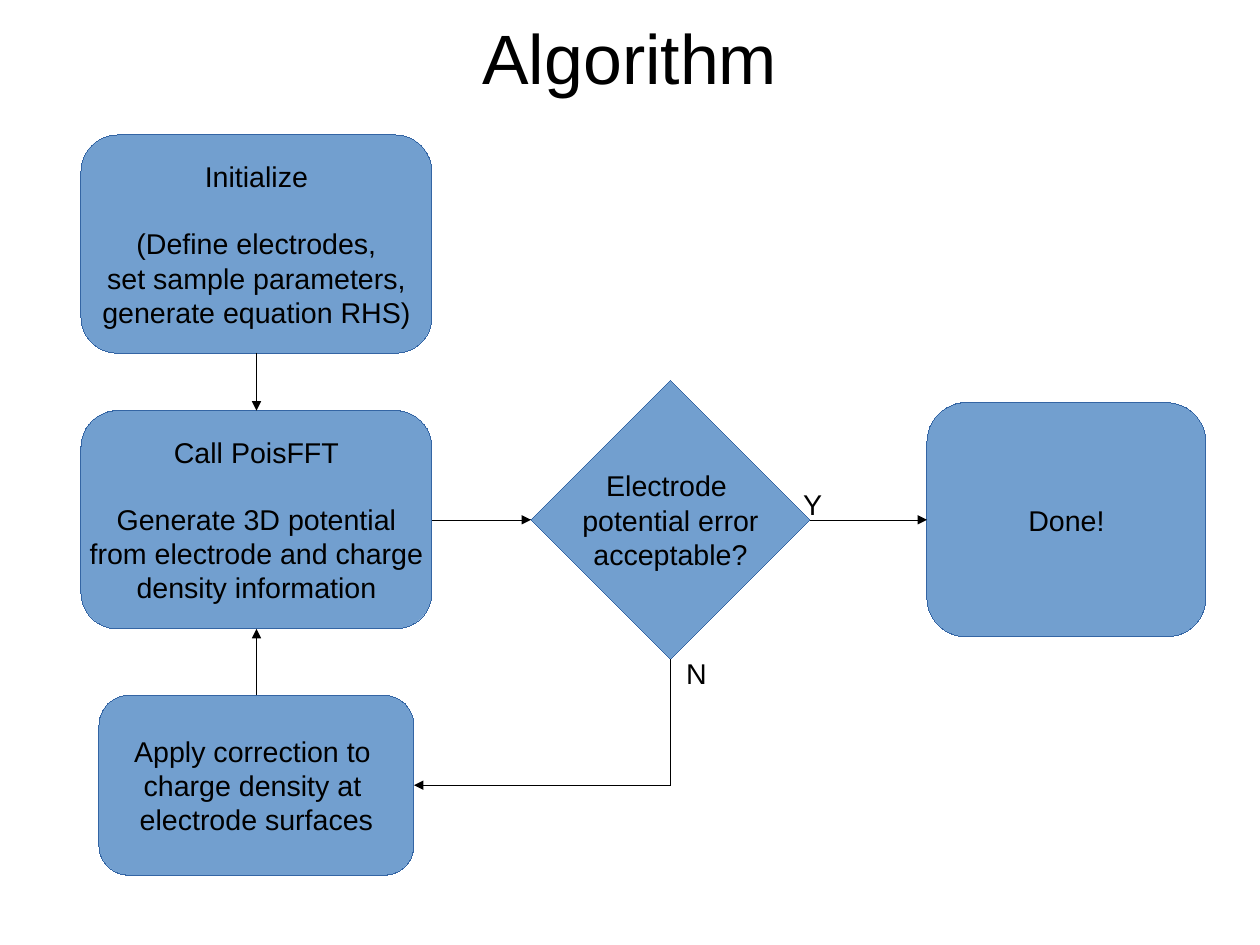
from dataclasses import dataclass

from lxml.etree import SubElement
from pptx import Presentation
from pptx.dml.color import RGBColor
from pptx.enum.shapes import MSO_CONNECTOR, MSO_SHAPE
from pptx.enum.text import MSO_ANCHOR, PP_ALIGN
from pptx.oxml.ns import qn
from pptx.shapes.autoshape import Shape
from pptx.shapes.connector import Connector
from pptx.slide import Slide
from pptx.text.text import TextFrame
from pptx.util import Emu, Pt

EMU_PER_PX = 9000
TOP, LEFT, BOTTOM, RIGHT = range(4)


@dataclass(frozen=True)
class Theme:
    font: str = "Arial"
    ink: RGBColor = RGBColor(0x00, 0x00, 0x00)
    fill: RGBColor = RGBColor(0x72, 0x9F, 0xCF)
    outline: RGBColor = RGBColor(0x34, 0x65, 0xA4)
    title_size: float = 44
    body_size: float = 18
    heading_gap: float = 20.7
    hairline: int = 0


@dataclass(frozen=True)
class Box:
    left: int
    top: int
    width: int
    height: int


@dataclass(frozen=True)
class Step:
    key: str
    box: Box
    lines: tuple[str, ...]
    heading: str = ""
    outline: MSO_SHAPE = MSO_SHAPE.FLOWCHART_ALTERNATE_PROCESS


@dataclass(frozen=True)
class Flow:
    source: str
    exit_side: int
    target: str
    entry_side: int


@dataclass(frozen=True)
class Answer:
    text: str
    box: Box


THEME = Theme()

STEPS = (
    Step("initialize", Box(72, 120, 312, 194),
         ("(Define electrodes,", "set sample parameters,", "generate equation RHS)"),
         heading="Initialize"),
    Step("solve", Box(72, 365, 312, 194),
         ("Generate 3D potential", "from electrode and charge", "density information"),
         heading="Call PoisFFT"),
    Step("check", Box(472, 338, 248, 248),
         ("Electrode ", "potential error", "acceptable?"),
         outline=MSO_SHAPE.FLOWCHART_DECISION),
    Step("done", Box(824, 358, 248, 208), ("Done!",)),
    Step("correct", Box(88, 618, 280, 160),
         ("Apply correction to ", "charge density at ", "electrode surfaces")),
)

STRAIGHT_FLOWS = (
    Flow("initialize", BOTTOM, "solve", TOP),
    Flow("solve", RIGHT, "check", LEFT),
    Flow("check", RIGHT, "done", LEFT),
    Flow("correct", TOP, "solve", BOTTOM),
)
RETRY_FLOW = Flow("check", BOTTOM, "correct", RIGHT)

ANSWERS = (
    Answer("Y", Box(704, 428, 40, 39)),
    Answer("N", Box(600, 578, 39, 39)),
)


def px(length: int) -> Emu:
    return Emu(length * EMU_PER_PX)


def place(box: Box) -> tuple[Emu, Emu, Emu, Emu]:
    return px(box.left), px(box.top), px(box.width), px(box.height)


def write(frame: TextFrame, lines: tuple[str, ...], size: float,
          align: PP_ALIGN = PP_ALIGN.CENTER) -> None:
    for number, line in enumerate(lines):
        paragraph = frame.paragraphs[0] if number == 0 else frame.add_paragraph()
        paragraph.alignment = align
        run = paragraph.add_run()
        run.text = line
        run.font.name = THEME.font
        run.font.size = Pt(size)
        run.font.color.rgb = THEME.ink


def stroke(part: Shape | Connector, color: RGBColor) -> None:
    part.line.color.rgb = color
    part.element.spPr.find(qn("a:ln")).set("w", str(THEME.hairline))


def draw_title(slide: Slide, text: str) -> None:
    title = slide.shapes.title
    title.left, title.top, title.width, title.height = place(Box(56, -20, 1008, 140))
    frame = title.text_frame
    frame.margin_left = frame.margin_right = frame.margin_top = frame.margin_bottom = 0
    frame.vertical_anchor = MSO_ANCHOR.MIDDLE
    write(frame, (text,), THEME.title_size)


def draw_step(slide: Slide, step: Step) -> Shape:
    shape = slide.shapes.add_shape(step.outline, *place(step.box))
    shape.shadow.inherit = False
    shape.fill.solid()
    shape.fill.fore_color.rgb = THEME.fill
    stroke(shape, THEME.outline)
    frame = shape.text_frame
    frame.word_wrap = False
    frame.vertical_anchor = MSO_ANCHOR.MIDDLE
    heading = (step.heading,) if step.heading else ()
    write(frame, heading + step.lines, THEME.body_size)
    if heading:
        frame.paragraphs[0].space_after = Pt(THEME.heading_gap)
    return shape


def draw_flow(slide: Slide, flow: Flow, steps: dict[str, Shape],
              route: MSO_CONNECTOR = MSO_CONNECTOR.STRAIGHT) -> Connector:
    arrow = slide.shapes.add_connector(route, 0, 0, 0, 0)
    arrow.begin_connect(steps[flow.source], flow.exit_side)
    arrow.end_connect(steps[flow.target], flow.entry_side)
    stroke(arrow, THEME.ink)
    properties = arrow.element.spPr
    SubElement(properties.find(qn("a:ln")), qn("a:tailEnd"), type="triangle")
    SubElement(properties, qn("a:effectLst"))
    return arrow


def draw_retry(slide: Slide, flow: Flow, steps: dict[str, Shape]) -> None:
    arrow = draw_flow(slide, flow, steps, MSO_CONNECTOR.ELBOW)
    across, down = arrow.width, arrow.height
    center_x = arrow.left + across // 2
    center_y = arrow.top + down // 2
    arrow.left, arrow.top = Emu(center_x - down // 2), Emu(center_y - across // 2)
    arrow.width, arrow.height = down, across
    properties = arrow.element.spPr
    frame = properties.find(qn("a:xfrm"))
    frame.attrib.pop("flipH", None)
    frame.set("rot", "5400000")
    properties.find(qn("a:prstGeom")).set("prst", "bentConnector2")


def draw_answer(slide: Slide, answer: Answer) -> None:
    label = slide.shapes.add_textbox(*place(answer.box))
    label.text_frame.word_wrap = False
    write(label.text_frame, (answer.text,), THEME.body_size, PP_ALIGN.LEFT)


def main() -> None:
    deck = Presentation()
    deck.slide_width, deck.slide_height = px(1120), px(840)
    slide = deck.slides.add_slide(deck.slide_layouts.get_by_name("Title Only"))
    draw_title(slide, "Algorithm")
    steps = {step.key: draw_step(slide, step) for step in STEPS}
    for flow in STRAIGHT_FLOWS:
        draw_flow(slide, flow, steps)
    draw_retry(slide, RETRY_FLOW, steps)
    for answer in ANSWERS:
        draw_answer(slide, answer)
    deck.save("out.pptx")


if __name__ == "__main__":
    main()
